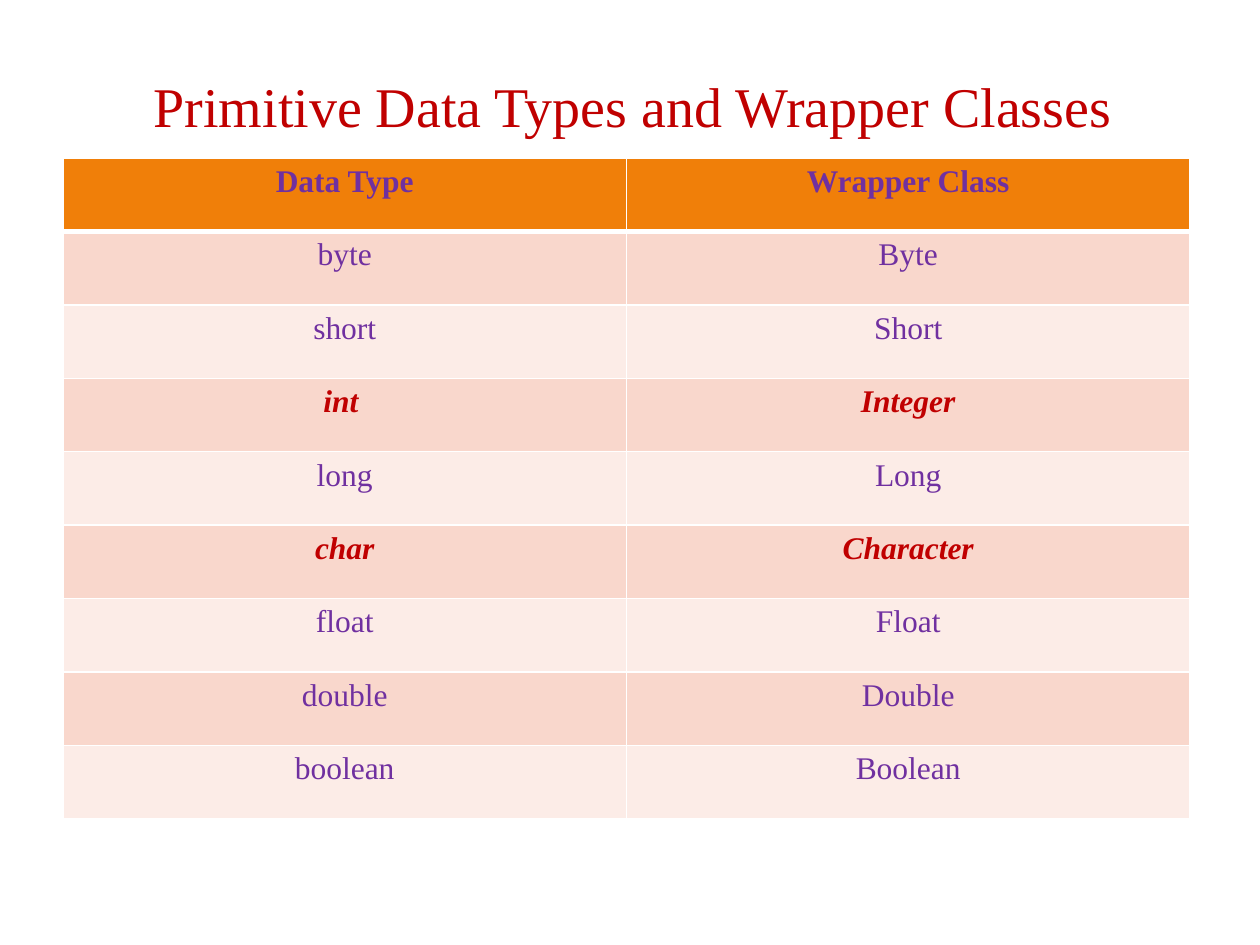
from lxml.etree import SubElement
from pptx import Presentation
from pptx.dml.color import RGBColor
from pptx.enum.text import MSO_ANCHOR as Anchor, PP_ALIGN as Align
from pptx.oxml.ns import qn
from pptx.util import Emu, Pt

FONT = "Times New Roman"
COLORS = {
    "red": "C00000",
    "purple": "7030A0",
    "header": "F07F09",
    "band_dark": "F9D7CC",
    "band_light": "FCECE7",
    "border": "FFFFFF",
}
ROWS = [
    ("Data Type", "Wrapper Class"),
    ("byte", "Byte"),
    ("short", "Short"),
    ("int ", "Integer"),
    ("long", "Long"),
    ("char", "Character"),
    ("float", "Float"),
    ("double", "Double"),
    ("boolean", "Boolean"),
]
EMPHASIZED = {"int ", "char"}


def px(n):
    """Turn pixels into EMU at 126 pixels to the inch."""
    return Emu(round(n * 914400 / 126))


def rgb(name):
    """Look up a named colour."""
    return RGBColor.from_string(COLORS[name])


def format_paragraph(p, size, color, bold=False, italic=False):
    """Centre a paragraph and set its font."""
    p.alignment = Align.CENTER
    f = p.font
    f.name, f.size, f.bold, f.italic = FONT, Pt(size), bold, italic
    f.color.rgb = rgb(color)


def set_title(s, text):
    """Place and format the title placeholder."""
    title = s.shapes.title
    title.left, title.top, title.width, title.height = map(px, (69, 0, 1128, 145))
    tf = title.text_frame
    tf.text = text
    tf.word_wrap = True
    tf.vertical_anchor = Anchor.BOTTOM
    format_paragraph(tf.paragraphs[0], 32, "red")


def set_borders(cell, top, bottom):
    """Draw the four cell borders, with the given top and bottom widths."""
    tc_pr = cell._tc.get_or_add_tcPr()
    widths = {"lnL": 0.96, "lnR": 0.96, "lnT": top, "lnB": bottom}
    for side, width in widths.items():
        ln = SubElement(tc_pr, qn(f"a:{side}"), w=str(Pt(width)))
        fill = SubElement(ln, qn("a:solidFill"))
        SubElement(fill, qn("a:srgbClr"), val=COLORS["border"])


def add_type_table(s, rows):
    """Add the banded two-column table with a header row."""
    frame = s.shapes.add_table(len(rows), 2, px(63), px(158), px(1127), px(661))
    table = frame.table
    for i, row in enumerate(rows):
        header, emphasized = i == 0, row[0] in EMPHASIZED
        band = "header" if header else "band_dark" if i % 2 else "band_light"
        for j, text in enumerate(row):
            cell = table.cell(i, j)
            cell.text = text
            format_paragraph(cell.text_frame.paragraphs[0], 18,
                             "red" if emphasized else "purple",
                             header or emphasized, emphasized)
            set_borders(cell, 3 if i == 1 else 0.96, 3 if header else 0.96)
            cell.fill.solid()
            cell.fill.fore_color.rgb = rgb(band)


def main():
    """Build the slide and save it."""
    prs = Presentation()
    prs.slide_width, prs.slide_height = px(1260), px(945)
    s = prs.slides.add_slide(prs.slide_layouts[5])
    set_title(s, "Primitive Data Types and Wrapper Classes")
    add_type_table(s, ROWS)
    prs.save("out.pptx")


main()
